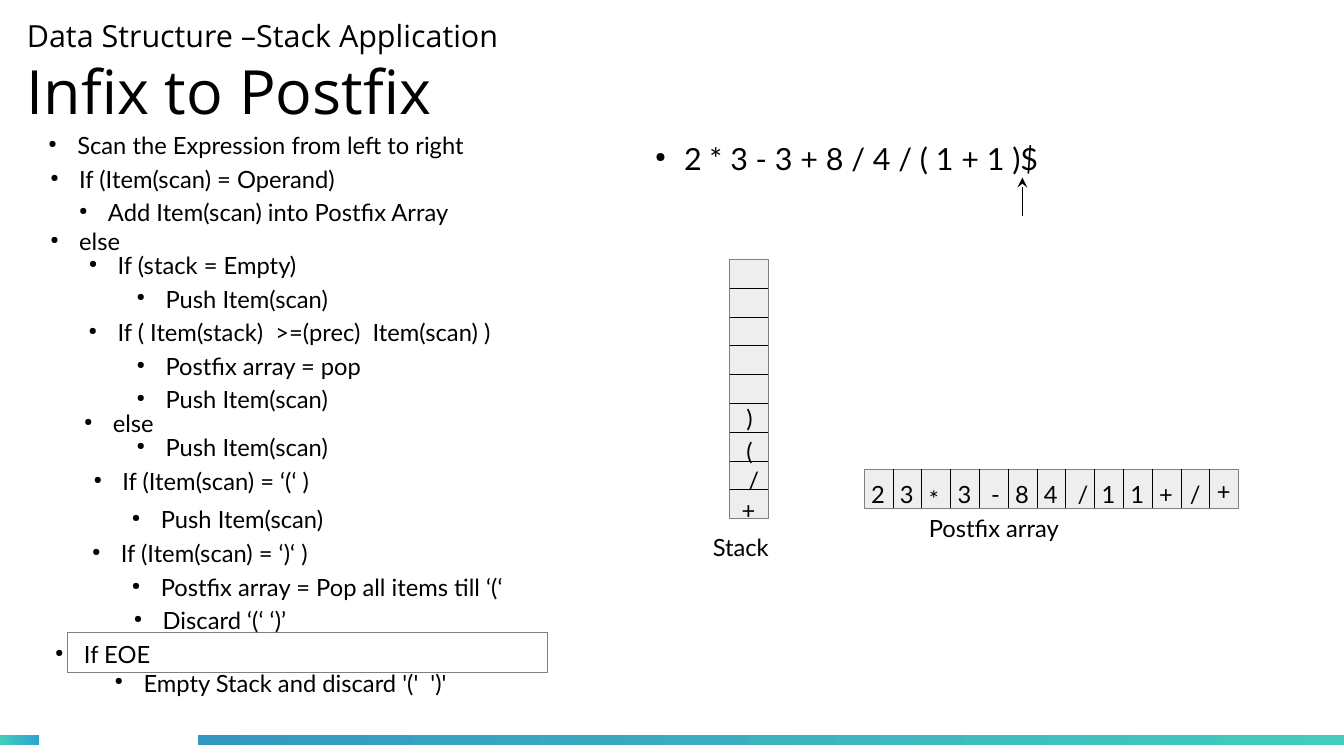
"""Build the slide that walks through infix to postfix conversion with a stack."""
import dataclasses
import typing

import lxml.etree
import pptx
import pptx.dml.color
import pptx.enum.dml
import pptx.enum.shapes
import pptx.enum.text
import pptx.oxml.ns
import pptx.shapes.autoshape
import pptx.shapes.connector
import pptx.slide
import pptx.util


@dataclasses.dataclass(frozen=True)
class Theme:
    ink: str = "000000"
    paper: str = "FFFFFF"
    cell: str = "EEEEEE"
    border: str = "808080"
    teal: str = "43CCBD"
    sky: str = "30A2D2"
    ocean: str = "3497C1"
    heading_font: str = "Open Sans"
    body_font: str = "Lato"
    title_size: float = 36
    lead_size: float = 18
    body_size: float = 14
    hairline: float = 0.1
    bullet_percent: int = 45


class Area(typing.NamedTuple):
    column: float
    row: float
    columns: float
    rows: float


class Step(typing.NamedTuple):
    wording: str
    column: float
    row: float
    columns: float


class Mark(typing.NamedTuple):
    symbol: str
    right: float = 0
    down: float = 0


THEME = Theme()
SLIDE_WIDTH = pptx.util.Inches(11.02)
SLIDE_HEIGHT = pptx.util.Inches(6.2)
COLUMN = SLIDE_WIDTH / 280
ROW = SLIDE_HEIGHT / 157.5
CELL = 6
CELL_DEPTH = 8
LINE_ROWS = 9.5
INDENT = 6

STACK = Area(152, 54, CELL_DEPTH, 9 * CELL)
POSTFIX = Area(180, 97.8, 13 * CELL, CELL_DEPTH)
EOE_BOX = Area(14, 131.6, 100, 8.4)

STEPS = [
    Step("Scan the Expression from left to right", 7.6, 26, 107),
    Step("If (Item(scan) = Operand)", 8, 33, 75),
    Step("Add Item(scan) into Postfix Array", 14, 40, 118),
    Step("else", 8, 46, 28),
    Step("If (stack = Empty)", 16, 51, 97),
    Step("Push Item(scan)", 26, 58, 56),
    Step("If ( Item(stack)  >=(prec)  Item(scan) )", 16, 65, 128),
    Step("Postfix array = pop", 26, 72, 60),
    Step("Push Item(scan)", 26, 79, 56),
    Step("else", 15, 84, 24),
    Step("Push Item(scan)", 26, 89, 56),
    Step("If (Item(scan) = ‘(‘ )", 17, 96, 60),
    Step("Push Item(scan)", 25, 104, 56),
    Step("If (Item(scan) = ‘)‘ )", 16.7, 111, 60),
    Step("Postfix array = Pop all items till ‘(‘", 25, 118, 108),
    Step("Discard ‘(‘ ‘)’", 25.4, 125, 56),
    Step("If EOE", 9, 132, 56),
    Step("Empty Stack and discard '('  ')'", 21.4, 138, 88),
]

STACK_MARKS = [Mark(")", 1, -1.2), Mark("(", 1, -0.3), Mark("/", 1.4, -0.2), Mark("+")]
POSTFIX_MARKS = [
    Mark("2"), Mark("3"), Mark("*", 0, 1), Mark("3"), Mark("-", 1), Mark("8"), Mark("4"),
    Mark("/", 1), Mark("1"), Mark("1"), Mark("+"), Mark("/", 0.4), Mark("+", 0, -0.8),
]


def across(columns: float) -> pptx.util.Emu:
    return pptx.util.Emu(round(columns * COLUMN))


def along(rows: float) -> pptx.util.Emu:
    return pptx.util.Emu(round(rows * ROW))


def extent(area: Area) -> tuple[pptx.util.Emu, ...]:
    return across(area.column), along(area.row), across(area.columns), along(area.rows)


def color(code: str) -> pptx.dml.color.RGBColor:
    return pptx.dml.color.RGBColor.from_string(code)


def add_words(slide: pptx.slide.Slide, wording: str, area: Area, sizes: tuple[float, ...],
              font: str = THEME.body_font, bulleted: bool = False) -> pptx.shapes.autoshape.Shape:
    words = slide.shapes.add_textbox(*extent(area))
    frame = words.text_frame
    frame.word_wrap = True
    frame.auto_size = pptx.enum.text.MSO_AUTO_SIZE.SHAPE_TO_FIT_TEXT
    frame.text = wording
    paragraph = frame.paragraphs[0]
    for run, size in zip((r for p in frame.paragraphs for r in p.runs), sizes):
        run.font.size = pptx.util.Pt(size)
        run.font.name = font
        run.font.color.rgb = color(THEME.ink)
    if bulleted:
        qn = pptx.oxml.ns.qn
        properties = paragraph._p.get_or_add_pPr()
        properties.set("marL", str(across(INDENT)))
        properties.set("indent", str(-across(INDENT)))
        tint = lxml.etree.SubElement(properties, qn("a:buClr"))
        lxml.etree.SubElement(tint, qn("a:srgbClr"), val=THEME.ink)
        lxml.etree.SubElement(properties, qn("a:buSzPct"), val=str(THEME.bullet_percent * 1000))
        lxml.etree.SubElement(properties, qn("a:buChar"), char="●")
    return words


def add_box(slide: pptx.slide.Slide, area: Area) -> pptx.shapes.autoshape.Shape:
    box = slide.shapes.add_shape(pptx.enum.shapes.MSO_SHAPE.RECTANGLE, *extent(area))
    box.shadow.inherit = False
    return box


def add_panel(slide: pptx.slide.Slide, area: Area, fill: str) -> None:
    panel = add_box(slide, area)
    panel.fill.solid()
    panel.fill.fore_color.rgb = color(fill)
    panel.line.color.rgb = color(THEME.border)
    panel.line.width = pptx.util.Pt(THEME.hairline)


def add_band(slide: pptx.slide.Slide, area: Area, start: str, end: str) -> None:
    band = add_box(slide, area)
    band.line.fill.background()
    band.fill.gradient()
    band.fill.gradient_angle = 0
    for stop, code in zip(band.fill.gradient_stops, (start, end)):
        stop.color.rgb = color(code)


def add_rule(slide: pptx.slide.Slide, left: float, top: float, right: float,
             bottom: float) -> pptx.shapes.connector.Connector:
    rule = slide.shapes.add_connector(
        pptx.enum.shapes.MSO_CONNECTOR.STRAIGHT,
        across(left), along(top), across(right), along(bottom))
    rule.line.color.rgb = color(THEME.ink)
    rule.line.width = pptx.util.Pt(THEME.hairline)
    lxml.etree.SubElement(rule._element.spPr, pptx.oxml.ns.qn("a:effectLst"))
    return rule


def add_mark(slide: pptx.slide.Slide, mark: Mark, column: float, row: float) -> None:
    area = Area(column + mark.right, row + mark.down, CELL_DEPTH, LINE_ROWS)
    add_words(slide, mark.symbol, area, (THEME.body_size,))


def add_stack(slide: pptx.slide.Slide) -> None:
    add_panel(slide, STACK, THEME.cell)
    slots = round(STACK.rows / CELL)
    for slot in range(1, slots):
        row = STACK.row + slot * CELL
        add_rule(slide, STACK.column, row, STACK.column + STACK.columns, row)
    for slot, mark in enumerate(STACK_MARKS, slots - len(STACK_MARKS)):
        add_mark(slide, mark, STACK.column, STACK.row + slot * CELL)
    add_words(slide, "Stack", Area(146, 109.7, 19, LINE_ROWS), (THEME.body_size,))


def add_postfix(slide: pptx.slide.Slide) -> None:
    add_panel(slide, POSTFIX, THEME.cell)
    for slot, mark in enumerate(POSTFIX_MARKS):
        column = POSTFIX.column + slot * CELL
        if slot:
            add_rule(slide, column, POSTFIX.row + POSTFIX.rows, column, POSTFIX.row)
        add_mark(slide, mark, column - 1, POSTFIX.row + 1)
    add_words(slide, "Postfix array", Area(191, 105.7, 36, LINE_ROWS), (THEME.body_size,))


def main() -> None:
    deck = pptx.Presentation()
    deck.slide_width, deck.slide_height = SLIDE_WIDTH, SLIDE_HEIGHT
    slide = deck.slides.add_slide(deck.slide_layouts[6])
    add_band(slide, Area(0, 153.1, 8.2, 2.1), THEME.teal, THEME.sky)
    add_band(slide, Area(41.3, 153.1, 238.7, 2.1), THEME.ocean, THEME.teal)
    heading = add_words(slide, "Data Structure –Stack Application\vInfix to Postfix",
                        Area(5.6, 2, 254.5, 26), (THEME.lead_size, THEME.title_size),
                        THEME.heading_font).text_frame
    heading.margin_left = heading.margin_right = heading.margin_top = heading.margin_bottom = 0
    heading.vertical_anchor = pptx.enum.text.MSO_ANCHOR.MIDDLE
    add_words(slide, "2 * 3 - 3 + 8 / 4 / ( 1 + 1 )$", Area(134, 28, 99, 11),
              (THEME.lead_size,), bulleted=True)
    scan_arrow = add_rule(slide, 213, 45, 213, 37)
    lxml.etree.SubElement(scan_arrow.line._get_or_add_ln(),
                          pptx.oxml.ns.qn("a:tailEnd"), type="stealth")
    add_panel(slide, EOE_BOX, THEME.paper)
    for step in STEPS:
        add_words(slide, step.wording, Area(step.column, step.row, step.columns, LINE_ROWS),
                  (THEME.body_size,), bulleted=True)
    add_stack(slide)
    add_postfix(slide)
    deck.save("out.pptx")


if __name__ == "__main__":
    main()
